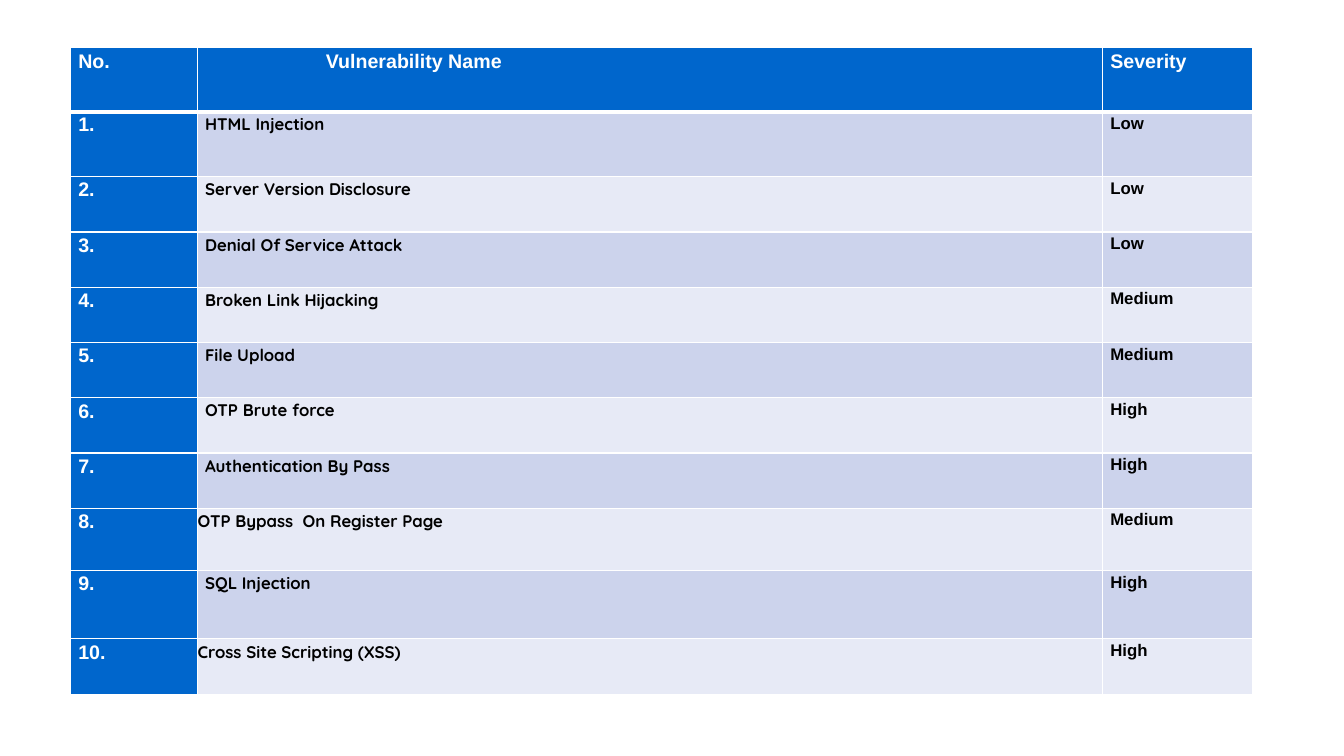
import pptx
import pptx.util
import pptx.dml.color
import pptx.oxml.ns
import lxml.etree

Pt = pptx.util.Pt

COLORS = {
    "header": "0066CC",
    "band_dark": "CCD3EC",
    "band_light": "E7EAF6",
    "white": "FFFFFF",
    "black": "000000",
}
COLUMN_WIDTHS = [90.6, 646.6, 107.2]
ROW_HEIGHTS = [45.6, 46.4] + [39.5] * 6 + [44.5, 48.8, 39.5]
INDENT = 5.3
TITLE_INDENT = 91.5

HEADINGS = ["No.", "Vulnerability Name", "Severity"]
# Name, severity, left indent of the name
VULNERABILITIES = [
    ("HTML Injection", "Low", INDENT),
    ("Server Version Disclosure", "Low", INDENT),
    ("Denial Of Service Attack", "Low", INDENT),
    ("Broken Link Hijacking", "Medium", INDENT),
    ("File Upload", "Medium", INDENT),
    ("OTP Brute force", "High", INDENT),
    ("Authentication By Pass", "High", INDENT),
    ("OTP Bypass  On Register Page", "Medium", 0),
    ("SQL Injection", "High", INDENT),
    ("Cross Site Scripting (XSS)", "High", 0),
]


def rgb(name):
    return pptx.dml.color.RGBColor.from_string(COLORS[name])


def set_borders(cell, bottom_width):
    """Draw white lines on all four sides; they precede the fill in the XML."""
    properties = cell._tc.get_or_add_tcPr()
    widths = {"a:lnL": 1, "a:lnR": 1, "a:lnT": 1, "a:lnB": bottom_width}
    for position, (tag, width) in enumerate(widths.items()):
        line = lxml.etree.Element(pptx.oxml.ns.qn(tag), w=str(Pt(width)))
        fill = lxml.etree.SubElement(line, pptx.oxml.ns.qn("a:solidFill"))
        lxml.etree.SubElement(fill, pptx.oxml.ns.qn("a:srgbClr"), val=COLORS["white"])
        properties.insert(position, line)


def fill_cell(cell, text, background, color="black", size=12, font="Arial",
              indent=INDENT, bottom_width=1):
    cell.margin_left = cell.margin_bottom = 0
    cell.margin_top, cell.margin_right = Pt(0.7), Pt(5.8)
    cell.fill.solid()
    cell.fill.fore_color.rgb = rgb(background)
    set_borders(cell, bottom_width)

    cell.text_frame.text = text
    paragraph = cell.text_frame.paragraphs[0]
    paragraph.line_spacing = 1.07
    paragraph.space_after = Pt(0.2)
    paragraph_properties = paragraph._p.get_or_add_pPr()
    paragraph_properties.set("marL", str(Pt(indent)))
    paragraph_properties.set("indent", "0")
    for run in paragraph.runs:
        run.font.name = font
        run.font.size = Pt(size)
        run.font.bold = True
        run.font.color.rgb = rgb(color)


def add_grid(slide):
    frame = slide.shapes.add_table(
        len(ROW_HEIGHTS), len(COLUMN_WIDTHS), Pt(50.6), Pt(34.2),
        Pt(sum(COLUMN_WIDTHS)), Pt(sum(ROW_HEIGHTS)))
    table = frame.table
    table.horz_banding = False
    for column, width in zip(table.columns, COLUMN_WIDTHS):
        column.width = Pt(width)
    for row, height in zip(table.rows, ROW_HEIGHTS):
        row.height = Pt(height)
    return table


def main():
    presentation = pptx.Presentation()
    presentation.slide_width, presentation.slide_height = Pt(960), Pt(540)
    slide = presentation.slides.add_slide(presentation.slide_layouts[6])
    table = add_grid(slide)

    # Header row
    for column, heading in enumerate(HEADINGS):
        fill_cell(table.cell(0, column), heading, "header", "white", 14,
                  indent=TITLE_INDENT if column == 1 else INDENT, bottom_width=3)

    # One row per vulnerability, in alternating bands
    for number, (name, severity, indent) in enumerate(VULNERABILITIES, 1):
        band = "band_dark" if number % 2 else "band_light"
        fill_cell(table.cell(number, 0), f"{number}.", "header", "white", 14)
        fill_cell(table.cell(number, 1), name, band, font="Quicksand", indent=indent)
        fill_cell(table.cell(number, 2), severity, band)

    presentation.save("out.pptx")


if __name__ == "__main__":
    main()
